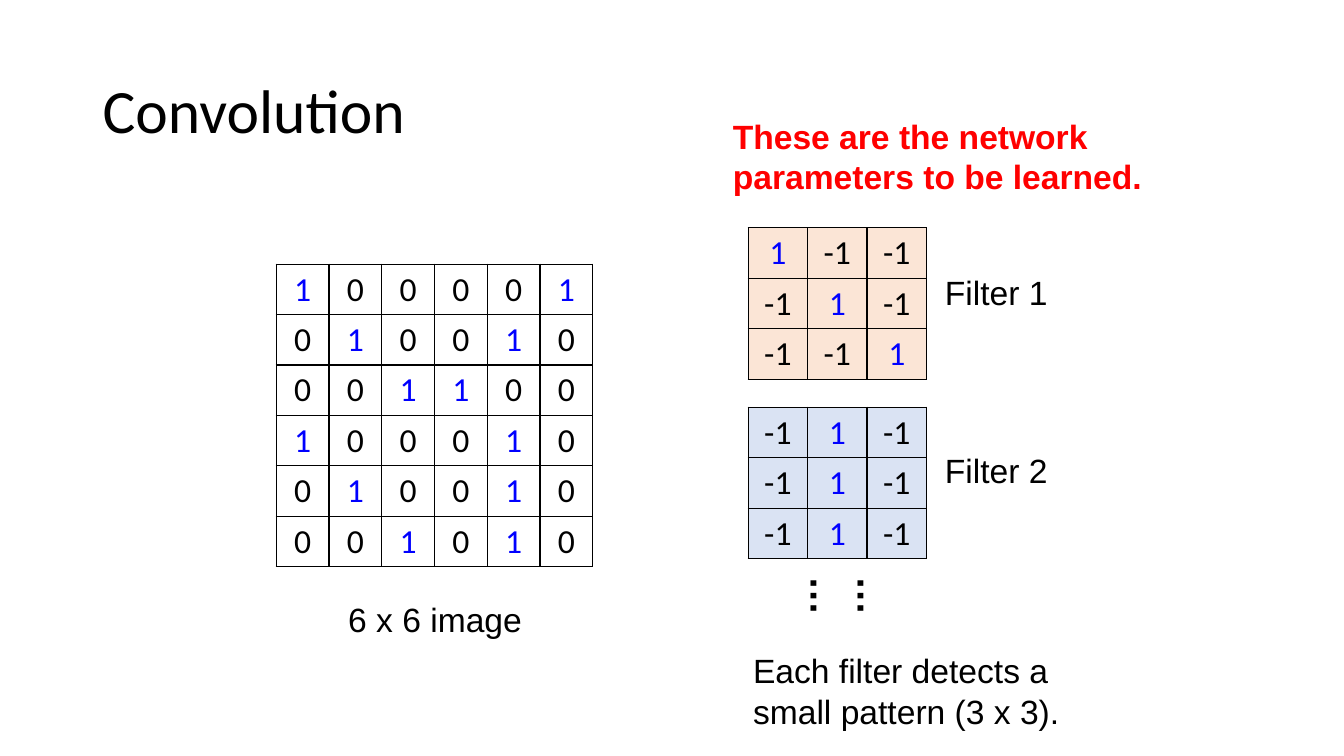
import dataclasses
import pptx
import pptx.dml.color
import pptx.enum.text
import pptx.oxml
import pptx.oxml.ns
import pptx.util

Inches = pptx.util.Inches


@dataclasses.dataclass(frozen=True)
class Theme:
    ink: str = "000000"
    one: str = "0000FF"
    alert: str = "FF0000"
    paper: str = "FFFFFF"
    peach: str = "FBE5D6"
    sky: str = "DAE3F3"
    heading_font: str = "Calibri"
    body_font: str = "Arial"
    title_size: int = 44
    dots_size: int = 28
    body_size: int = 24


theme = Theme()
align = pptx.enum.text.PP_ALIGN
deck = pptx.Presentation()
deck.slide_width = Inches(13.33)
deck.slide_height = Inches(7.5)
page = deck.slides.add_slide(deck.slide_layouts[6])


def style_paragraph(para, font, size, color, bold=False, alignment=align.LEFT):
    para.alignment = alignment
    for span in para.runs:
        span.font.name = font
        span.font.size = pptx.util.Pt(size)
        span.font.bold = bold
        span.font.color.rgb = pptx.dml.color.RGBColor.from_string(color)


def add_label(text, left, top, width, height, size=theme.body_size,
              font=theme.body_font, color=theme.ink, bold=False, alignment=align.LEFT):
    box = page.shapes.add_textbox(Inches(left), Inches(top), Inches(width), Inches(height))
    box.text_frame.word_wrap = True
    box.text_frame.text = text
    style_paragraph(box.text_frame.paragraphs[0], font, size, color, bold, alignment)
    return box


title = add_label("Convolution", 0.92, 0.4, 11.5, 1.45, theme.title_size, theme.heading_font)
title.text_frame.vertical_anchor = pptx.enum.text.MSO_ANCHOR.MIDDLE
title.text_frame.paragraphs[0].line_spacing = 0.9

image_rows = ["1 0 0 0 0 1", "0 1 0 0 1 0", "0 0 1 1 0 0",
              "1 0 0 0 1 0", "0 1 0 0 1 0", "0 0 1 0 1 0"]
filter_1_rows = ["1 -1 -1", "-1 1 -1", "-1 -1 1"]
filter_2_rows = ["-1 1 -1"] * 3
matrices = [
    (image_rows, 2.74, 2.62, 3.14, theme.paper),
    (filter_1_rows, 7.42, 2.26, 1.77, theme.peach),
    (filter_2_rows, 7.42, 4.04, 1.77, theme.sky),
]
row_height = 0.5

for rows, left, top, width, fill in matrices:
    count = len(rows)
    frame = page.shapes.add_table(count, count, Inches(left), Inches(top),
                                  Inches(width), Inches(row_height * count))
    for row_index, row in enumerate(rows):
        for column_index, value in enumerate(row.split()):
            cell = frame.table.cell(row_index, column_index)
            cell.text = value
            color = theme.one if value == "1" else theme.ink
            style_paragraph(cell.text_frame.paragraphs[0], theme.heading_font,
                            theme.body_size, color, alignment=align.CENTER)
            properties = cell._tc.get_or_add_tcPr()
            for side in ("lnL", "lnR", "lnT", "lnB"):
                properties.append(pptx.oxml.parse_xml(
                    f'<a:{side} {pptx.oxml.ns.nsdecls("a")} w="12700"><a:solidFill>'
                    f'<a:srgbClr val="{theme.ink}"/></a:solidFill></a:{side}>'))
            cell.fill.solid()
            cell.fill.fore_color.rgb = pptx.dml.color.RGBColor.from_string(fill)

add_label("6 x 6 image", 3.03, 5.89, 2.57, 0.5, alignment=align.CENTER)
for text, top in (("Filter 1", 2.65), ("Filter 2", 4.41)):
    add_label(text, 9.09, top, 1.58, 0.51, alignment=align.CENTER)

dots = add_label("……", 8.04, 5.49, 0.77, 1.04, theme.dots_size, bold=True)
dots.rotation = 90

add_label("These are the network parameters to be learned.", 7.17, 1.1, 4.33, 0.91,
          color=theme.alert, bold=True)
add_label("Each filter detects a small pattern (3 x 3).", 7.37, 6.4, 3.89, 0.91)

deck.save("out.pptx")
